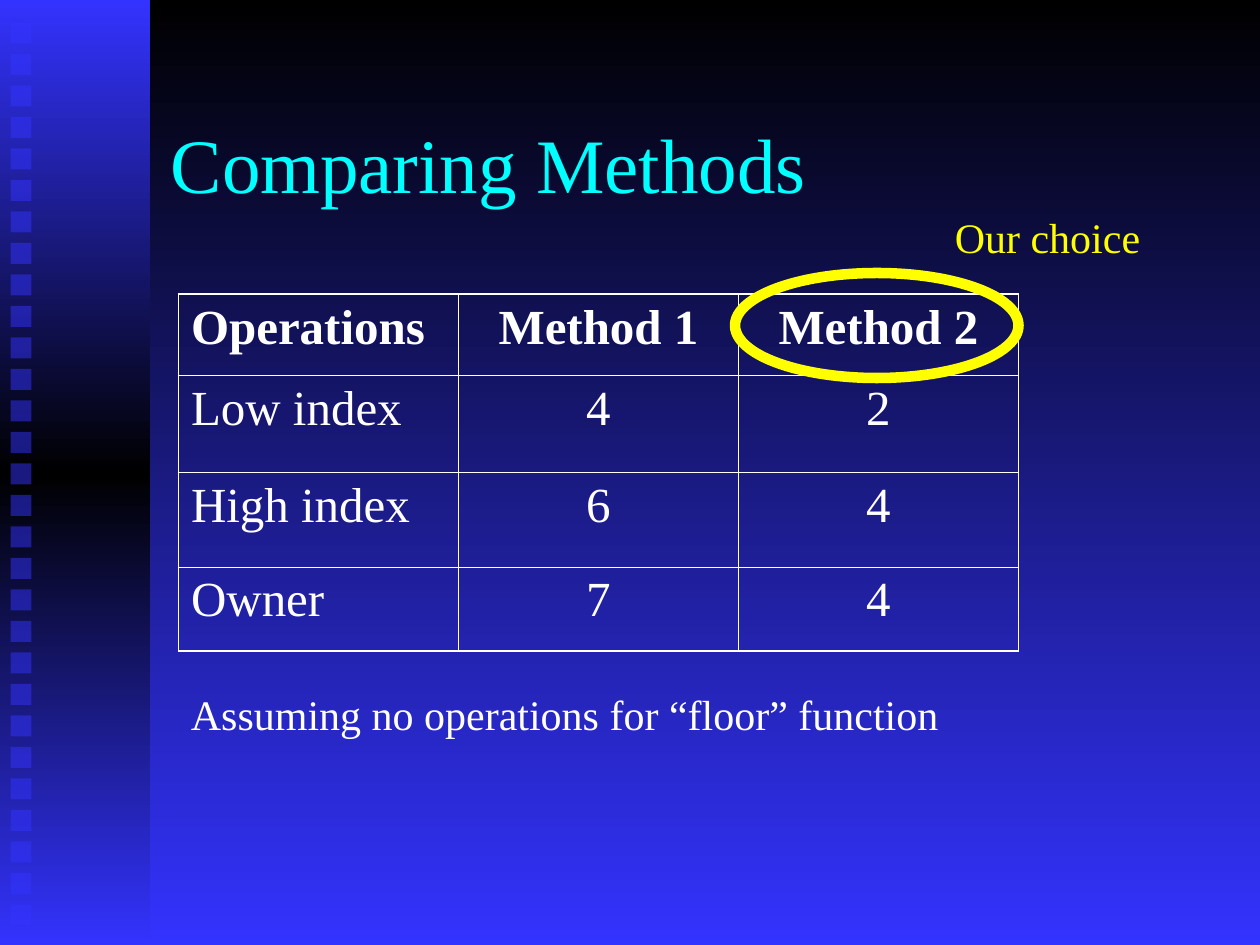
"""Build the slide that compares the operation counts of two methods."""
from dataclasses import dataclass

import lxml.etree
import pptx
import pptx.dml.color
import pptx.enum.shapes
import pptx.enum.text
import pptx.oxml.ns
import pptx.util

Pt = pptx.util.Pt
qn = pptx.oxml.ns.qn
Align = pptx.enum.text.PP_ALIGN
Anchor = pptx.enum.text.MSO_ANCHOR
AutoSize = pptx.enum.text.MSO_AUTO_SIZE
ShapeKind = pptx.enum.shapes.MSO_SHAPE


@dataclass(frozen=True)
class Theme:
    font: str = "Times New Roman"
    dark: str = "000000"
    blue: str = "3333FF"
    title: str = "00FFFF"
    text: str = "FFFFFF"
    highlight: str = "FFFF00"
    title_size: float = 44
    table_size: float = 28
    note_size: float = 24
    outer_border: float = 1.08
    inner_border: float = 0.45
    ring_width: float = 6


THEME = Theme()
SQUARE_COUNT = 29
SQUARE_PITCH = 18
ROW_HEIGHTS = (46.5, 55.5, 54, 48)
COLUMN_WIDTH = 160
ROWS = (
    ("Operations", "Method 1", "Method 2"),
    ("Low index", "4", "2"),
    ("High index", "6", "4"),
    ("Owner", "7", "4"),
)


def rgb(color):
    return pptx.dml.color.RGBColor.from_string(color)


def set_gradient(fill, element, colors):
    fill.gradient()
    fill.gradient_angle = 270
    stops = element.find(".//" + qn("a:gsLst"))
    stops.clear()
    for index, color in enumerate(colors):
        position = str(100000 * index // (len(colors) - 1))
        stop = lxml.etree.SubElement(stops, qn("a:gs"), pos=position)
        lxml.etree.SubElement(stop, qn("a:srgbClr"), val=color)


def style_paragraph(paragraph, size, color, bold=False):
    font = paragraph.font
    font.name = THEME.font
    font.size = Pt(size)
    font.bold = bold
    font.color.rgb = rgb(color)


def add_shape(slide, kind, left, top, width, height):
    shape = slide.shapes.add_shape(kind, Pt(left), Pt(top), Pt(width), Pt(height))
    shape.shadow.inherit = False
    shape.line.fill.background()
    return shape


def add_side_band(slide):
    band = add_shape(slide, ShapeKind.RECTANGLE, 0, 0, 85.7, 540)
    set_gradient(band.fill, band.element, (THEME.blue, THEME.dark, THEME.blue))
    for index in range(SQUARE_COUNT):
        top = 12.8 + index * SQUARE_PITCH
        square = add_shape(slide, ShapeKind.RECTANGLE, 6, top, 12, 12)
        square.fill.solid()
        square.fill.fore_color.rgb = rgb(THEME.blue)
        color = square.element.spPr.find(".//" + qn("a:srgbClr"))
        lxml.etree.SubElement(color, qn("a:alpha"), val="50000")


def add_text(slide, text, left, top, width, height, size, color):
    box = slide.shapes.add_textbox(Pt(left), Pt(top), Pt(width), Pt(height))
    box.text_frame.text = text
    style_paragraph(box.text_frame.paragraphs[0], size, color)
    return box.text_frame


def add_title(slide, text):
    frame = add_text(slide, text, 90.5, 48, 612, 90, THEME.title_size, THEME.title)
    frame.word_wrap = True
    frame.vertical_anchor = Anchor.MIDDLE


def add_note(slide, text, left, top, width, color):
    frame = add_text(slide, text, left, top, width, 36, THEME.note_size, color)
    frame.word_wrap = False
    frame.auto_size = AutoSize.SHAPE_TO_FIT_TEXT


def set_borders(cell, outer_sides):
    properties = cell._tc.get_or_add_tcPr()
    for side in "LRTB":
        width = THEME.outer_border if side in outer_sides else THEME.inner_border
        line = lxml.etree.SubElement(properties, qn("a:ln" + side), w=str(int(Pt(width))))
        fill = lxml.etree.SubElement(line, qn("a:solidFill"))
        lxml.etree.SubElement(fill, qn("a:srgbClr"), val=THEME.text)


def add_comparison_table(slide):
    last_row, last_column = len(ROWS) - 1, len(ROWS[0]) - 1
    frame = slide.shapes.add_table(
        len(ROWS), len(ROWS[0]), Pt(102), Pt(168),
        Pt(COLUMN_WIDTH * len(ROWS[0])), Pt(sum(ROW_HEIGHTS)))
    table = frame.table
    table.first_row = table.horz_banding = False
    for column in table.columns:
        column.width = Pt(COLUMN_WIDTH)
    for row_index, (height, values) in enumerate(zip(ROW_HEIGHTS, ROWS)):
        table.rows[row_index].height = Pt(height)
        for column_index, value in enumerate(values):
            cell = table.cell(row_index, column_index)
            edges = {"L": column_index == 0, "R": column_index == last_column,
                     "T": row_index == 0, "B": row_index == last_row}
            set_borders(cell, [side for side in edges if edges[side]])
            cell.fill.background()
            cell.text = value
            paragraph = cell.text_frame.paragraphs[0]
            paragraph.alignment = Align.CENTER if column_index else Align.LEFT
            style_paragraph(paragraph, THEME.table_size, THEME.text, row_index == 0)


def add_choice_ring(slide):
    ring = add_shape(slide, ShapeKind.OVAL, 420, 156, 162, 60)
    ring.fill.background()
    ring.line.color.rgb = rgb(THEME.highlight)
    ring.line.width = Pt(THEME.ring_width)


def main():
    presentation = pptx.Presentation()
    presentation.slide_width, presentation.slide_height = Pt(720), Pt(540)
    slide = presentation.slides.add_slide(presentation.slide_layouts[6])
    set_gradient(slide.background.fill, slide.element, (THEME.dark, THEME.blue))
    add_side_band(slide)
    add_title(slide, "Comparing Methods")
    add_comparison_table(slide)
    add_note(slide, "Assuming no operations for “floor” function", 102, 390, 442, THEME.text)
    add_choice_ring(slide)
    add_note(slide, "Our choice", 538.5, 117.5, 121, THEME.highlight)
    presentation.save("out.pptx")


if __name__ == "__main__":
    main()
